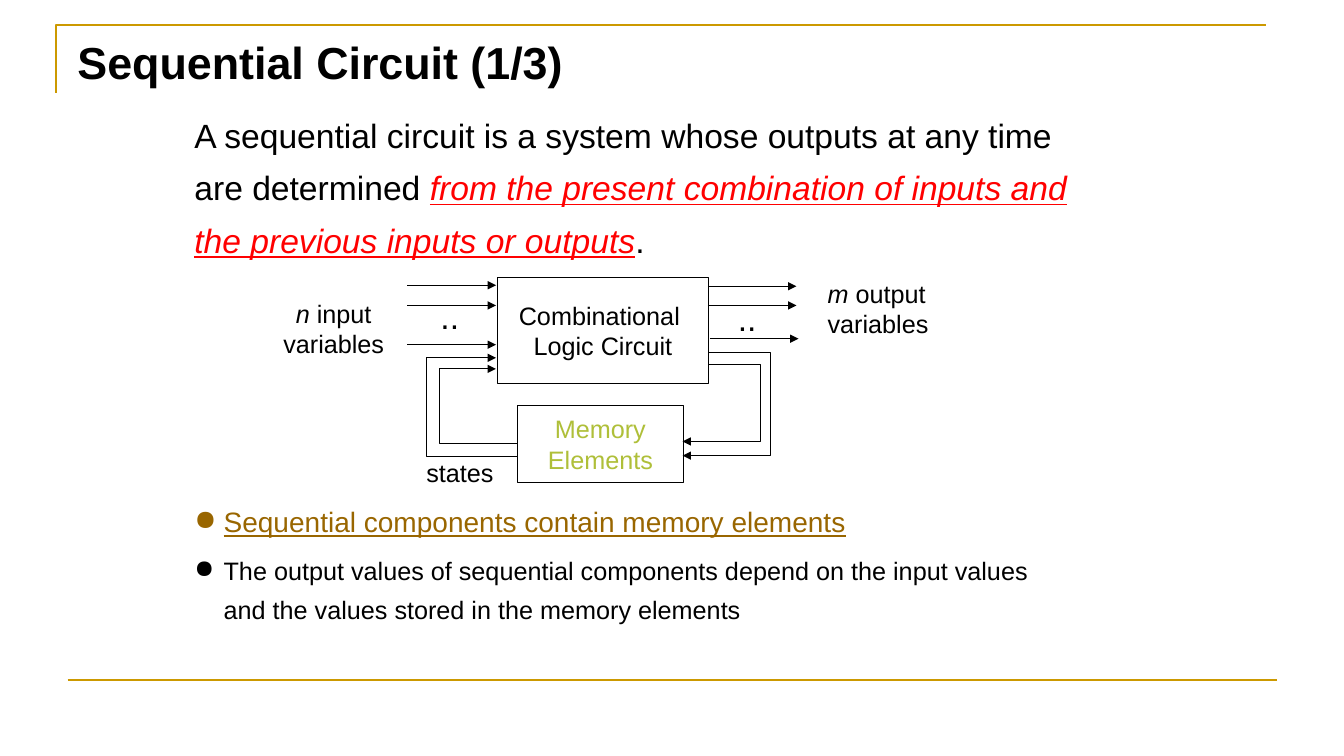
from lxml.etree import SubElement
from pptx import Presentation
from pptx.dml.color import RGBColor
from pptx.enum.shapes import MSO_CONNECTOR, MSO_SHAPE
from pptx.enum.text import MSO_ANCHOR, PP_ALIGN
from pptx.oxml.ns import qn
from pptx.util import Inches, Pt

BLACK = RGBColor(0x00, 0x00, 0x00)
WHITE = RGBColor(0xFF, 0xFF, 0xFF)
GOLD = RGBColor(0xCC, 0x99, 0x00)
RED = RGBColor(0xFF, 0x00, 0x00)
GREEN = RGBColor(0xAF, 0xBF, 0x39)
BROWN = RGBColor(0x99, 0x66, 0x00)

prs = Presentation()
prs.slide_width, prs.slide_height = Inches(13.33), Inches(7.5)
slide = prs.slides.add_slide(prs.slide_layouts[6])


def write(paragraphs, box, outlined=False, size=18, color=BLACK, bold=False,
          align=PP_ALIGN.LEFT, wrap=False, spacing=None, bullet=None):
    """Place paragraphs, each a list of (text, format changes) runs, in a box."""
    place = [Inches(length) for length in box]
    if outlined:
        holder = slide.shapes.add_shape(MSO_SHAPE.RECTANGLE, *place)
        holder.shadow.inherit = False
        holder.fill.solid()
        holder.fill.fore_color.rgb = WHITE
        holder.line.color.rgb = BLACK
        holder.line.width = Pt(0.75)
    else:
        holder = slide.shapes.add_textbox(*place)
    frame = holder.text_frame
    frame.word_wrap = wrap
    frame.vertical_anchor = MSO_ANCHOR.MIDDLE if outlined else MSO_ANCHOR.TOP
    for index, runs in enumerate(paragraphs):
        paragraph = frame.add_paragraph() if index else frame.paragraphs[0]
        paragraph.alignment = align
        if spacing:
            paragraph.line_spacing = spacing
        for text, changes in runs:
            run = paragraph.add_run()
            run.text = text
            font = run.font
            font.name = "Arial"
            font.size = Pt(changes.get("size", size))
            font.color.rgb = changes.get("color", color)
            font.bold = bold
            font.italic = changes.get("italic", False)
            font.underline = changes.get("underline", False)
        if bullet:
            paragraph.space_before = Pt(0.3 * runs[0][1].get("size", size))
            properties = paragraph._p.get_or_add_pPr()
            properties.set("marL", str(Inches(0.29)))
            properties.set("indent", str(-Inches(0.29)))
            SubElement(properties, qn("a:buChar"), char=bullet)


def draw_line(points, color=BLACK, width=0.75, arrow=True):
    """Draw a straight connector for two points, an open outline for more."""
    corners = [(Inches(x), Inches(y)) for x, y in points]
    if len(corners) == 2:
        stroke = slide.shapes.add_connector(
            MSO_CONNECTOR.STRAIGHT, *corners[0], *corners[1])
        SubElement(stroke._element.spPr, qn("a:effectLst"))
    else:
        outline = slide.shapes.build_freeform(*corners[0], scale=1.0)
        outline.add_line_segments(corners[1:], close=False)
        stroke = outline.convert_to_shape()
        stroke.shadow.inherit = False
        stroke.fill.background()
    stroke.line.color.rgb = color
    stroke.line.width = Pt(width)
    if arrow:
        SubElement(stroke.line._get_or_add_ln(), qn("a:tailEnd"), type="triangle")


# Page frame and heading
draw_line([(0.56, 0.92), (0.56, 0.25), (12.56, 0.25)], GOLD, 1.5, arrow=False)
draw_line([(0.67, 6.75), (12.67, 6.75)], GOLD, 1.5, arrow=False)
write([[("Sequential Circuit (1/3)", {})]], (0.67, 0.3, 5.06, 0.64), size=32, bold=True)

definition = [
    ("A sequential circuit is a system whose outputs at any time are determined ", {}),
    ("from the present combination of inputs and the previous inputs or outputs",
     {"color": RED, "italic": True, "underline": True}),
    (".", {}),
]
write([definition], (1.83, 0.97, 9.02, 2.2), size=24, wrap=True, spacing=1.3)

# Circuit blocks
write([[("Combinational ", {})], [("Logic Circuit", {})]], (4.93, 2.75, 2.1, 1.06),
      outlined=True, align=PP_ALIGN.CENTER)
write([[("Memory", {})], [("Elements", {})]], (5.13, 4.02, 1.65, 0.77),
      outlined=True, color=GREEN, align=PP_ALIGN.CENTER)

# Inputs and outputs
for input_y in (2.83, 3.03, 3.42):
    draw_line([(4.04, input_y), (4.92, input_y)])
for output_x, output_y in ((7.02, 2.84), (7.02, 3.03), (7.04, 3.36)):
    draw_line([(output_x, output_y), (output_x + 0.88, output_y)])
for dots_x, dots_y in ((4.27, 2.89), (7.22, 2.91)):
    write([[("..", {})]], (dots_x, dots_y, 0.39, 0.5), size=24)
write([[("n", {"italic": True}), (" input", {})], [("variables", {})]],
      (2.71, 2.91, 1.2, 0.7), align=PP_ALIGN.CENTER)
write([[("m", {"italic": True}), (" output", {})], [("variables", {})]],
      (8.11, 2.71, 1.24, 0.7))

# Feedback loops: start x, turning x, end x, start y, end y
for start_x, turn_x, end_x, start_y, end_y in (
    (7.03, 7.54, 6.77, 3.62, 4.38),
    (7.03, 7.64, 6.77, 3.5, 4.52),
    (5.13, 4.36, 4.92, 4.4, 3.66),
    (5.13, 4.23, 4.92, 4.53, 3.55),
):
    draw_line([(start_x, start_y), (turn_x, start_y), (turn_x, end_y), (end_x, end_y)])
write([[("states", {})]], (4.13, 4.49, 0.87, 0.4))

# Conclusions
conclusions = [
    [("Sequential components contain memory elements",
      {"size": 20, "color": BROWN, "underline": True})],
    [("The output values of sequential components depend on the input values "
      "and the values stored in the memory elements", {})],
]
write(conclusions, (1.83, 4.86, 8.57, 1.38), wrap=True, spacing=1.3, bullet="●")

prs.save("out.pptx")
